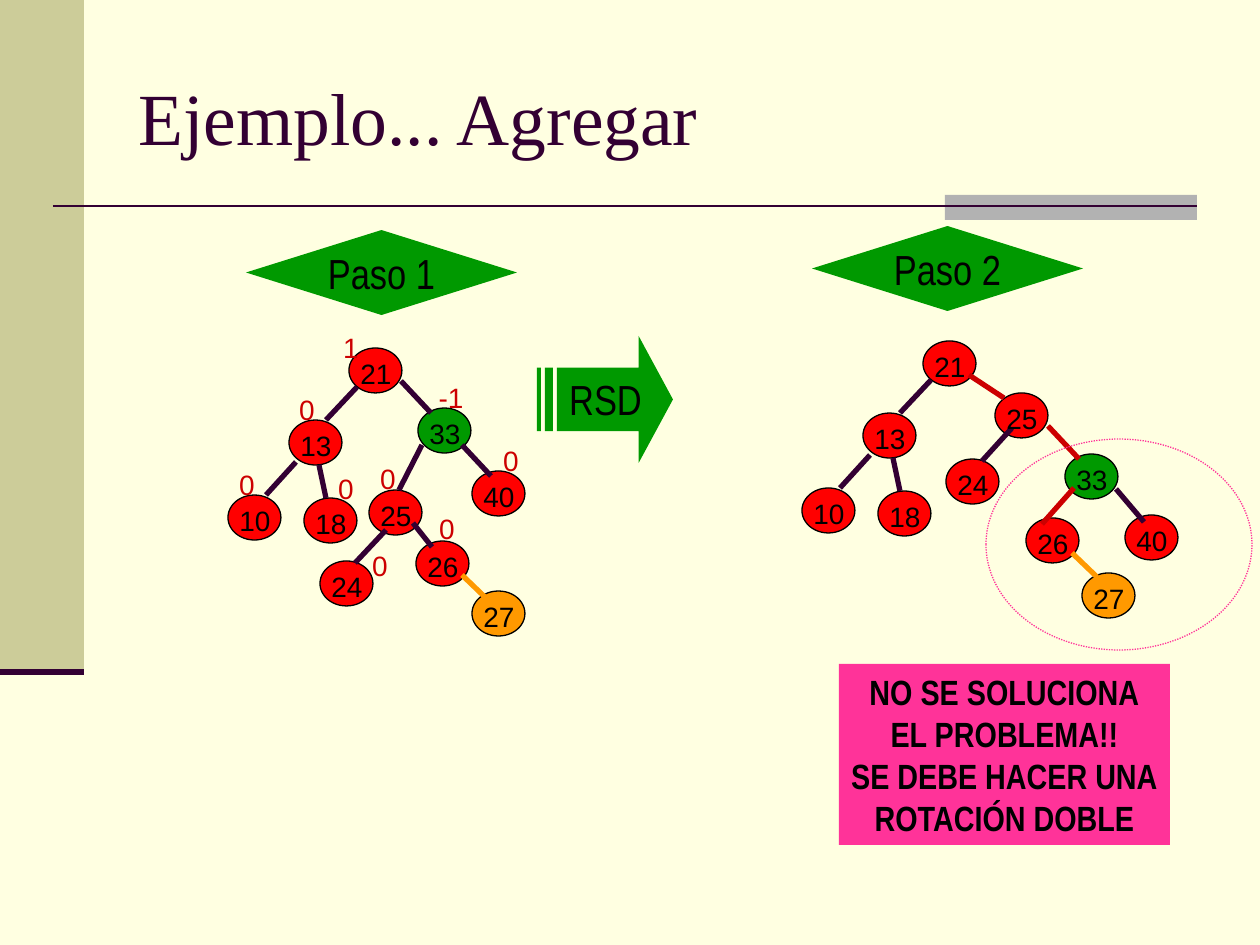
from lxml.etree import SubElement
from pptx import Presentation
from pptx.dml.color import RGBColor
from pptx.enum.dml import MSO_LINE
from pptx.enum.shapes import MSO_CONNECTOR, MSO_SHAPE
from pptx.enum.text import MSO_ANCHOR, PP_ALIGN
from pptx.oxml.ns import qn
from pptx.util import Pt

PX = 914400 / 126

CREAM, KHAKI, GRAY = "FFFFE1", "CCCC99", "B2B2B2"
PLUM, BLACK, CRIMSON = "330033", "000000", "CC0000"
RED, GREEN, ORANGE, PINK = "FF0000", "009900", "FF9900", "FF3399"

NODE_W, NODE_H = 53, 45
NODE_FILLS = {33: GREEN, 27: ORANGE}

# Positions and edge ends are relative to the top left of each tree.
LEFT_NODES = {21: (121, 0), 13: (61, 72), 10: (0, 147), 18: (76, 150)}
LEFT_EDGES = [
    (129, 39, 98, 72, PLUM), (68, 114, 38, 147, PLUM), (91, 117, 98, 150, PLUM),
]
STEP1_NODES = LEFT_NODES | {
    33: (190, 60), 25: (141, 142), 40: (244, 123),
    26: (188, 193), 27: (244, 243), 24: (92, 213),
}
STEP1_EDGES = LEFT_EDGES + [
    (173, 33, 203, 65, PLUM), (234, 97, 263, 128, PLUM), (194, 97, 171, 142, PLUM),
    (185, 175, 204, 199, PLUM), (158, 182, 127, 215, PLUM), (234, 227, 260, 252, ORANGE),
]
# Balance factors, with the middle of each label's top edge.
STEP1_BALANCES = [
    ("1", 123, -24), ("0", 79, 38), ("0", 19, 113), ("0", 118, 117), ("-1", 223, 26),
    ("0", 160, 107), ("0", 283, 89), ("0", 219, 157), ("0", 152, 194),
]
BALANCE_W = 60
STEP2_NODES = LEFT_NODES | {
    33: (263, 113), 25: (193, 52), 40: (323, 174),
    26: (224, 177), 27: (280, 232), 24: (144, 118),
}
STEP2_EDGES = LEFT_EDGES + [
    (167, 34, 202, 57, CRIMSON), (246, 85, 277, 118, CRIMSON),
    (272, 147, 240, 183, CRIMSON), (314, 148, 342, 181, PLUM),
    (210, 87, 180, 120, PLUM), (270, 212, 295, 236, ORANGE),
]


def px(*lengths):
    return [round(length * PX) for length in lengths]


def color(hex_code):
    return RGBColor.from_string(hex_code)


def write(shape, text, size=16, font="Arial", ink=BLACK, bold=False,
          align=PP_ALIGN.LEFT, anchor=MSO_ANCHOR.TOP, wrap=False):
    frame = shape.text_frame
    frame.word_wrap = wrap
    frame.vertical_anchor = anchor
    frame.text = text
    for paragraph in frame.paragraphs:
        paragraph.alignment = align
        paragraph.font.size = Pt(size)
        paragraph.font.name = font
        paragraph.font.bold = bold
        paragraph.font.color.rgb = color(ink)


def add_label(slide, text, x, y, w, h=47, **style):
    write(slide.shapes.add_textbox(*px(x, y, w, h)), text, **style)


def add_block(slide, kind, x, y, w, h, fill=None, outline=None):
    block = slide.shapes.add_shape(kind, *px(x, y, w, h))
    block.shadow.inherit = False
    if fill:
        block.fill.solid()
        block.fill.fore_color.rgb = color(fill)
    else:
        block.fill.background()
    if outline:
        block.line.color.rgb = color(outline)
        block.line.width = Pt(0.75)
    else:
        block.line.fill.background()
    return block


def add_line(slide, x1, y1, x2, y2, ink, width=3):
    line = slide.shapes.add_connector(MSO_CONNECTOR.STRAIGHT, *px(x1, y1, x2, y2))
    line.line.color.rgb = color(ink)
    line.line.width = Pt(width)
    SubElement(line._element.spPr, qn("a:effectLst"))


def add_frame(slide):
    """Side band, rule and accent bar around the slide."""
    add_block(slide, MSO_SHAPE.RECTANGLE, 0, 0, 84, 672, KHAKI)
    add_block(slide, MSO_SHAPE.RECTANGLE, 945, 195, 252, 25, GRAY)
    add_line(slide, 53, 206, 1197, 206, PLUM, width=1.5)
    add_line(slide, 0, 672, 84, 672, PLUM, width=3.5)


def add_title(slide, x, y, w, h):
    title = slide.shapes.title
    title.left, title.top, title.width, title.height = px(x, y, w, h)
    write(title, "Ejemplo... Agregar", size=42, font="Times New Roman",
          ink=PLUM, anchor=MSO_ANCHOR.MIDDLE, wrap=True)


def add_tree(slide, x, y, nodes, edges, balances=()):
    for key, (dx, dy) in nodes.items():
        add_block(slide, MSO_SHAPE.OVAL, x + dx, y + dy, NODE_W, NODE_H,
                  NODE_FILLS.get(key, RED), BLACK)
    for x1, y1, x2, y2, ink in edges:
        add_line(slide, x + x1, y + y1, x + x2, y + y2, ink)
    for key, (dx, dy) in nodes.items():
        add_label(slide, str(key), x + dx - 1, y + dy + 2, 62, wrap=True)
    for balance, dx, dy in balances:
        add_label(slide, balance, x + dx - BALANCE_W / 2, y + dy, BALANCE_W,
                  ink=CRIMSON, align=PP_ALIGN.CENTER)


def add_step(slide, text, x, y):
    step = add_block(slide, MSO_SHAPE.FLOWCHART_DECISION, x, y, 271, 85, GREEN)
    write(step, text, size=24, font="Arial Narrow", align=PP_ALIGN.CENTER,
          anchor=MSO_ANCHOR.MIDDLE)


def add_rotation_arrow(slide, x, y, w, h):
    arrow = add_block(slide, MSO_SHAPE.STRIPED_RIGHT_ARROW, x, y, w, h, GREEN)
    arrow.adjustments[0] = 0.5
    arrow.adjustments[1] = 0.27
    write(arrow, "RSD", size=24, font="Arial Narrow")


def add_conclusion(slide, x, y, w, h):
    conclusion = add_block(slide, MSO_SHAPE.RECTANGLE, x, y, w, h, PINK)
    write(conclusion,
          "NO SE SOLUCIONA\nEL PROBLEMA!!\nSE DEBE HACER UNA\nROTACIÓN DOBLE",
          size=20, font="Arial Narrow", bold=True, align=PP_ALIGN.CENTER)


def add_highlight(slide, x, y, w, h):
    """Dotted ring around the subtree that stays unbalanced."""
    ring = add_block(slide, MSO_SHAPE.OVAL, x, y, w, h, outline=PINK)
    ring.line.dash_style = MSO_LINE.ROUND_DOT


def main():
    deck = Presentation()
    deck.slide_width, deck.slide_height = px(1260, 945)
    slide = deck.slides.add_slide(deck.slide_layouts[5])
    slide.background.fill.solid()
    slide.background.fill.fore_color.rgb = color(CREAM)

    add_frame(slide)
    add_title(slide, 126, 38, 1071, 157)
    add_tree(slide, 228, 348, STEP1_NODES, STEP1_EDGES, STEP1_BALANCES)
    add_tree(slide, 802, 341, STEP2_NODES, STEP2_EDGES)
    add_conclusion(slide, 839, 664, 331, 181)
    add_rotation_arrow(slide, 537, 336, 136, 127)
    add_highlight(slide, 986, 439, 266, 211)
    add_step(slide, "Paso 1", 246, 230)
    add_step(slide, "Paso 2", 812, 226)
    deck.save("out.pptx")


if __name__ == "__main__":
    main()
